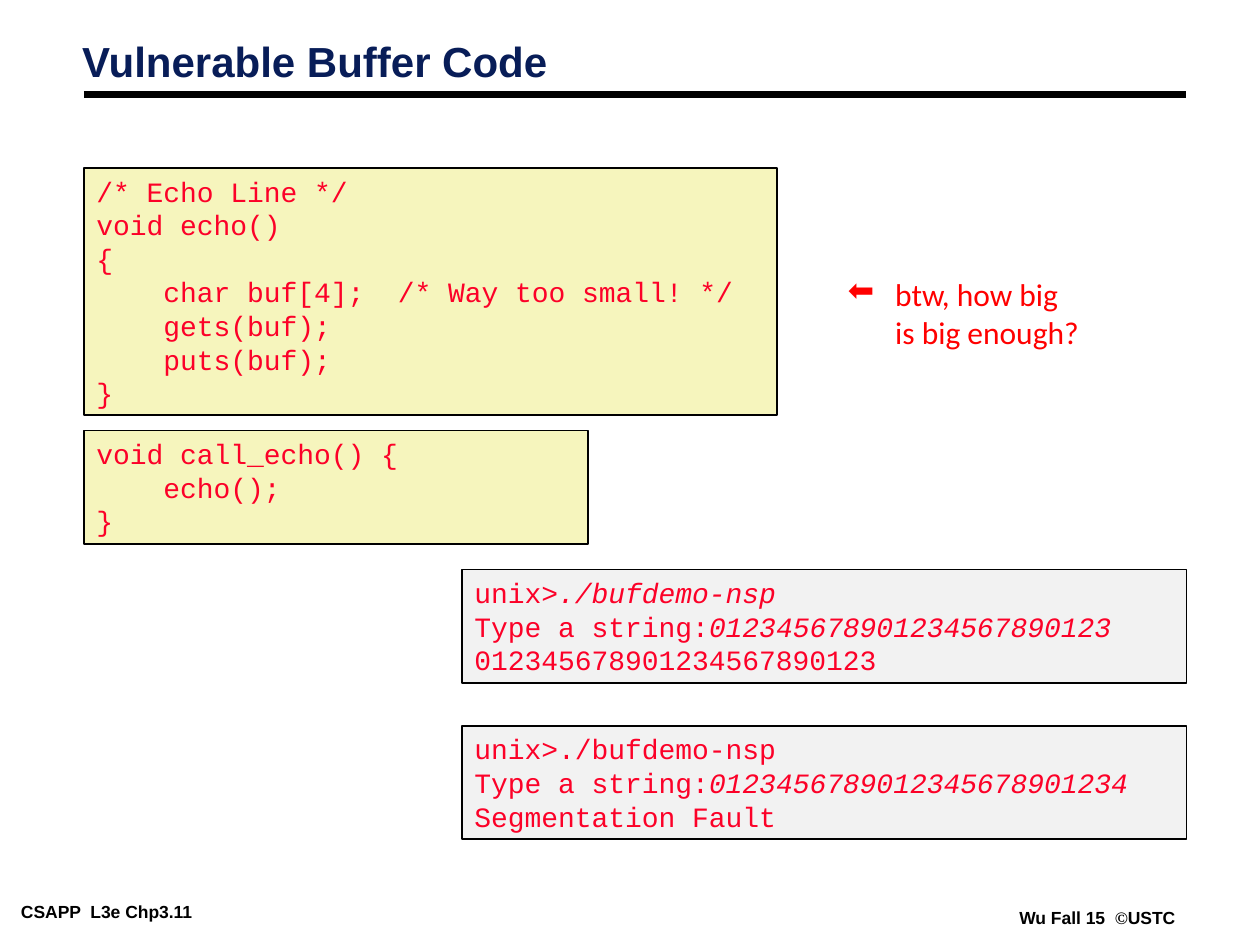
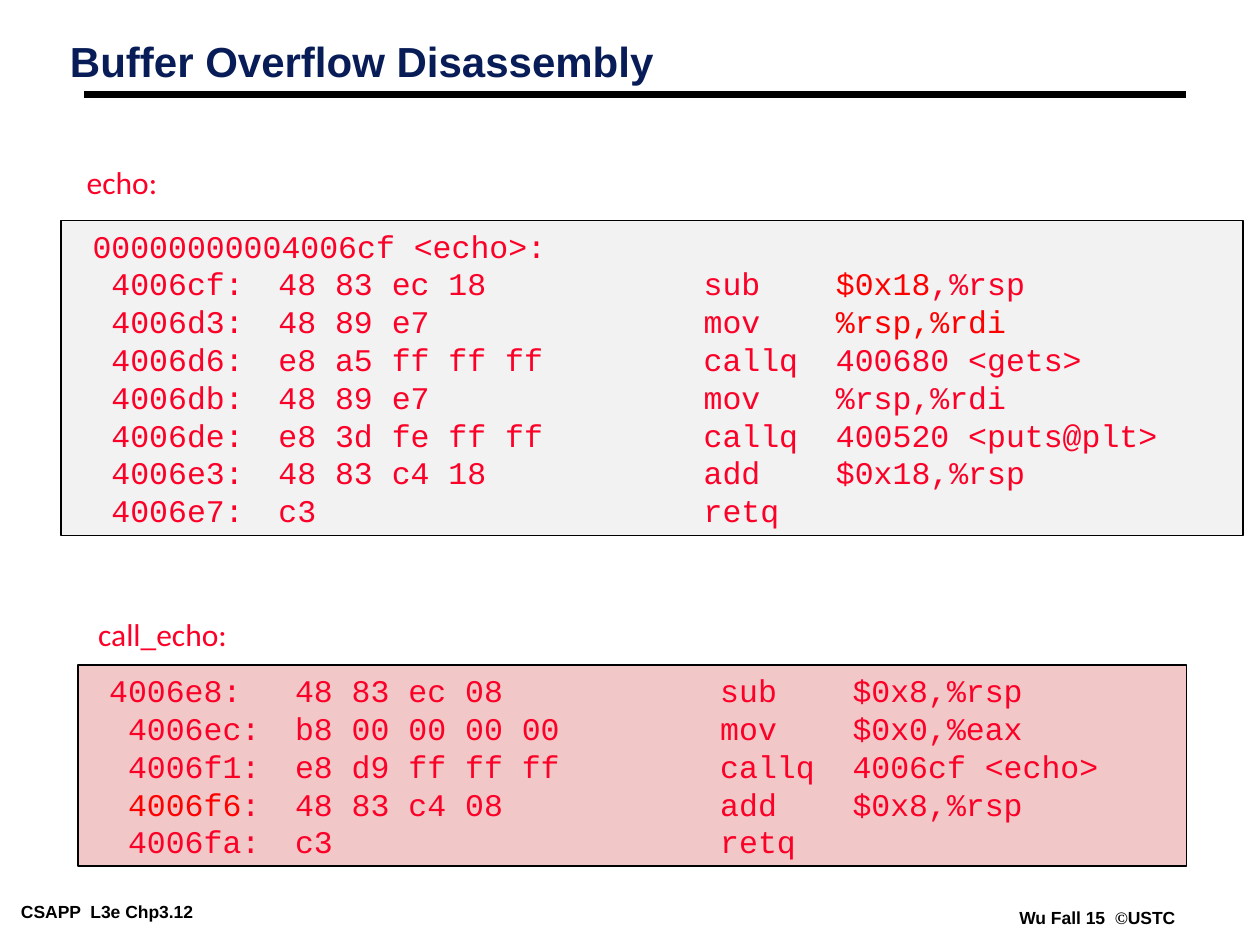
from dataclasses import dataclass

from lxml import etree
from pptx import Presentation
from pptx.dml.color import RGBColor
from pptx.enum import shapes, text
from pptx.oxml.ns import qn
from pptx.util import Pt


@dataclass(frozen=True)
class Theme:
    ink: str = "000000"
    heading: str = "081D58"
    code: str = "FC0128"
    accent: str = "FF0000"
    source_fill: str = "F6F5BD"
    console_fill: str = "F2F2F2"
    caller_fill: str = "F1C7C7"
    sans: str = "Arial"
    label_font: str = "Calibri"
    mono: str = "Courier New"
    symbol_font: str = "Times New Roman"
    title_size: float = 24
    source_size: float = 16
    listing_size: float = 18
    label_size: float = 18
    footer_size: float = 10
    rule_width: float = 4.5
    border_width: float = 1
    tight: tuple = (5, 2.5)
    roomy: tuple = (7.2, 3.6)


@dataclass(frozen=True)
class Box:
    left: float
    top: float
    width: float
    height: float

    def sub(self, left, top, width, height):
        return Box(self.left + left, self.top + top, width, height)

    def lengths(self):
        return [Pt(n) for n in (self.left, self.top, self.width, self.height)]


THEME = Theme()
PAGE = Box(0, 0, 720, 540)
BODY = PAGE.sub(48, 96, 630, 400)
FIRST_PAGE = 11
LISTING_TABS = (117, 360, 435.6)
HANGING = 27
ITALIC = {"italic": True}
ACCENT = {"color": THEME.accent}


def style(font, size=None, face=None, color=None, bold=None, italic=None):
    if size:
        font.size = Pt(size)
    if face:
        font.name = face
    if color:
        font.color.rgb = RGBColor.from_string(color)
    if bold is not None:
        font.bold = bold
    if italic is not None:
        font.italic = italic


def set_tabs(paragraph, stops):
    tab_list = etree.SubElement(paragraph._p.get_or_add_pPr(), qn("a:tabLst"))
    for stop in stops:
        etree.SubElement(tab_list, qn("a:tab"), pos=str(Pt(stop)), algn="l")


def write(frame, lines, insets, wrap=True, tabs=(), **look):
    frame.margin_left = frame.margin_right = Pt(insets[0])
    frame.margin_top = frame.margin_bottom = Pt(insets[1])
    frame.word_wrap = wrap
    frame.vertical_anchor = text.MSO_ANCHOR.TOP
    for index, line in enumerate(lines):
        paragraph = frame.add_paragraph() if index else frame.paragraphs[0]
        paragraph.alignment = text.PP_ALIGN.LEFT
        if tabs:
            set_tabs(paragraph, tabs)
        style(paragraph.font, **look)
        for piece in [line] if isinstance(line, str) else line:
            words, change = (piece, {}) if isinstance(piece, str) else piece
            run = paragraph.add_run()
            run.text = words
            style(run.font, **{**look, **change})


def caption(slide, box, lines, insets, wrap=False, **look):
    frame = slide.shapes.add_textbox(*box.lengths()).text_frame
    write(frame, lines, insets, wrap, **look)
    return frame.paragraphs


def label(slide, box, *lines, color=THEME.code):
    return caption(slide, box, lines, THEME.roomy,
                   size=THEME.label_size, face=THEME.label_font, color=color)


def code_panel(slide, box, fill, lines, size=THEME.source_size, tabs=()):
    panel = slide.shapes.add_shape(shapes.MSO_SHAPE.RECTANGLE, *box.lengths())
    panel.shadow.inherit = False
    panel.fill.solid()
    panel.fill.fore_color.rgb = RGBColor.from_string(fill)
    panel.line.color.rgb = RGBColor.from_string(THEME.ink)
    panel.line.width = Pt(THEME.border_width)
    write(panel.text_frame, lines, THEME.roomy, tabs=tabs,
          size=size, face=THEME.mono, color=THEME.code)


def heading(slide, box, words):
    title, = caption(slide, box, [words], THEME.tight, wrap=True, bold=True,
                     size=THEME.title_size, face=THEME.sans, color=THEME.heading)
    title.line_spacing = 0.87


def rule(slide, box):
    left, top, width, _ = box.lengths()
    bar = slide.shapes.add_connector(
        shapes.MSO_CONNECTOR.STRAIGHT, left, top, left + width, top)
    bar.line.color.rgb = RGBColor.from_string(THEME.ink)
    bar.line.width = Pt(THEME.rule_width)
    etree.SubElement(bar._element.spPr, qn("a:effectLst"))


def footer(slide, box, number):
    look = dict(size=THEME.footer_size, face=THEME.sans, color=THEME.ink, bold=True)
    caption(slide, box.sub(7, 0, 145, 16), [f"CSAPP  L3e Chp3.{number}"],
            THEME.tight, **look)
    owner = ["Wu Fall 15  ", ("©", {"face": THEME.symbol_font}), "USTC"]
    caption(slide, box.sub(577.5, 3.5, 99.5, 16), [owner], THEME.tight, **look)


def size_question(slide, box):
    question = label(slide, box, "btw, how big", "is big enough?", color=THEME.accent)
    for line, indent in zip(question, (-HANGING, 0)):
        properties = line._p.get_or_add_pPr()
        properties.set("marL", str(Pt(HANGING)))
        properties.set("indent", str(Pt(indent)))
    bullet_color = etree.Element(qn("a:buClr"))
    etree.SubElement(bullet_color, qn("a:srgbClr"), val=THEME.accent)
    first = question[0]._p.get_or_add_pPr()
    first.insert(0, bullet_color)
    first.insert(1, etree.Element(qn("a:buChar"), char="⬅"))


def vulnerable_code(slide, box):
    code_panel(slide, box.sub(0, 150, 288, 64.8), THEME.source_fill, [
        "void call_echo() {",
        "    echo();",
        "}",
    ])
    code_panel(slide, box.sub(0, 0, 396, 141), THEME.source_fill, [
        "/* Echo Line */",
        "void echo()",
        "{",
        "    char buf[4];  /* Way too small! */",
        "    gets(buf);",
        "    puts(buf);",
        "}",
    ])
    sessions = [
        [["unix>", ("./bufdemo-nsp", ITALIC)],
         ["Type a string:", ("012345678901234567890123", ITALIC)],
         "012345678901234567890123"],
        ["unix>./bufdemo-nsp",
         ["Type a string:", ("0123456789012345678901234", ITALIC)],
         "Segmentation Fault"],
    ]
    for index, session in enumerate(sessions):
        code_panel(slide, box.sub(216, 229.5 + index * 89.2, 414, 64.8),
                   THEME.console_fill, session)
    size_question(slide, box.sub(429.5, 57.5, 200, 50.5))


def disassembly(slide, box):
    code_panel(slide, box.sub(-13, 30, 675.5, 180), THEME.console_fill, [
        " 00000000004006cf <echo>:",
        ["  4006cf:\t48 83 ec 18\tsub\t", ("$0x18", ACCENT), ",%rsp"],
        ["  4006d3:\t48 89 e7\tmov\t", ("%rsp,%rdi", ACCENT)],
        "  4006d6:\te8 a5 ff ff ff\tcallq\t400680 <gets>",
        "  4006db:\t48 89 e7\tmov\t%rsp,%rdi",
        "  4006de:\te8 3d fe ff ff\tcallq\t400520 <puts@plt>",
        "  4006e3:\t48 83 c4 18\tadd\t$0x18,%rsp",
        "  4006e7:\tc3\tretq",
    ], THEME.listing_size, LISTING_TABS)
    code_panel(slide, box.sub(-3.5, 284, 633.5, 115), THEME.caller_fill, [
        " 4006e8:\t48 83 ec 08\tsub\t$0x8,%rsp",
        "  4006ec:\tb8 00 00 00 00\tmov\t$0x0,%eax",
        "  4006f1:\te8 d9 ff ff ff\tcallq\t4006cf <echo>",
        ["  ", ("4006f6", ACCENT), ":\t48 83 c4 08\tadd\t$0x8,%rsp"],
        "  4006fa:\tc3\tretq",
    ], THEME.listing_size, LISTING_TABS)
    label(slide, box.sub(1, 252, 88, 29), "call_echo:")
    label(slide, box.sub(-5.5, -6.5, 55, 29), "echo:")


def main():
    deck = Presentation()
    deck.slide_width, deck.slide_height = Pt(PAGE.width), Pt(PAGE.height)
    pages = [
        ("Vulnerable Buffer Code", PAGE.sub(42, 22, 505, 45), vulnerable_code),
        ("Buffer Overflow Disassembly", PAGE.sub(35, 22, 559, 45), disassembly),
    ]
    for number, (name, title_box, fill_body) in enumerate(pages, FIRST_PAGE):
        slide = deck.slides.add_slide(deck.slide_layouts[6])
        footer(slide, PAGE.sub(0, 512.5, 720, 20), number)
        rule(slide, PAGE.sub(48, 54, 630, 0))
        heading(slide, title_box, name)
        fill_body(slide, BODY)
    deck.save("out.pptx")


if __name__ == "__main__":
    main()
